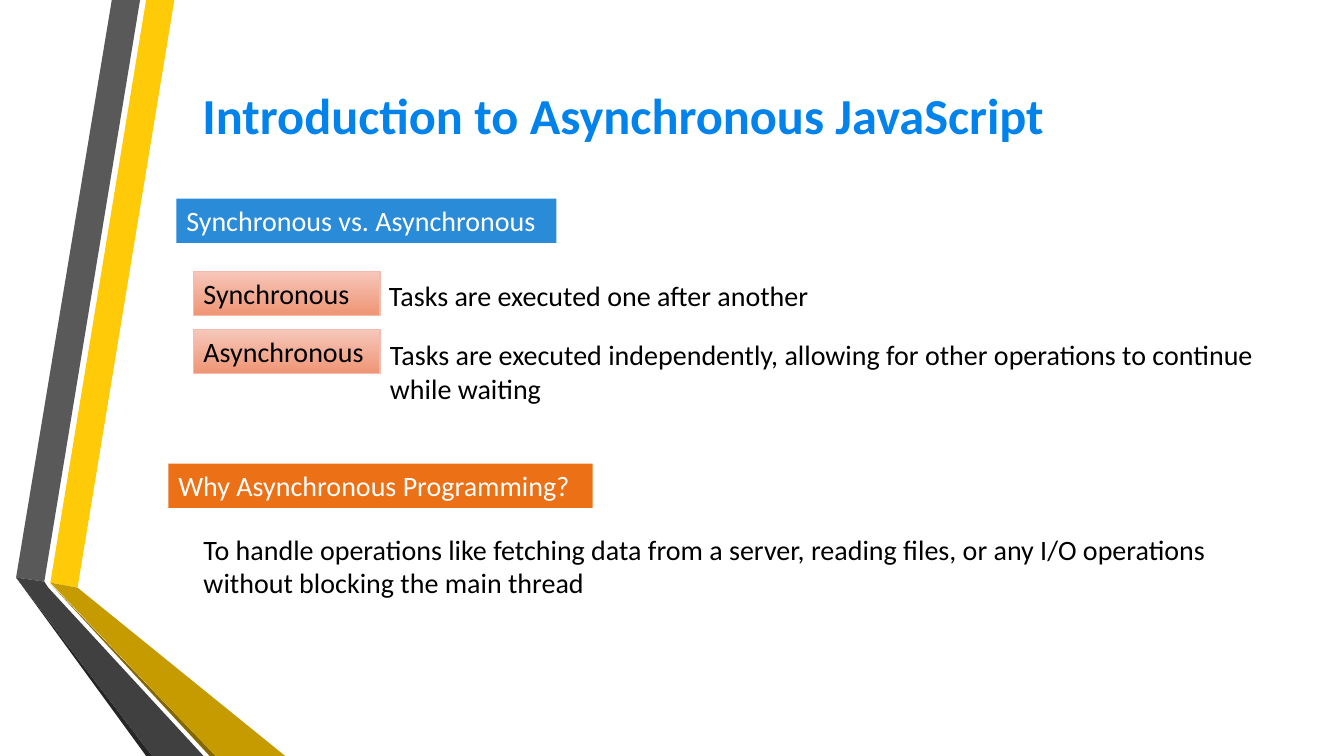
from pptx import Presentation
from pptx import util as u
from pptx.dml.color import RGBColor
from pptx.enum import shapes, text

# Grid of square cells, a tenth of an inch each
CELL = u.Inches(0.1)
COLUMNS, ROWS = 133.33, 75
LABEL_HEIGHT = 4.4
TERM_LEFT, TERM_WIDTH = 19.2, 18.5
TERM_TOP, TERM_STEP = 26.9, 5.8

FONT = "Calibri"
BLACK = RGBColor(0x00, 0x00, 0x00)
WHITE = RGBColor(0xFF, 0xFF, 0xFF)
TITLE_BLUE = RGBColor(0x02, 0x82, 0xEB)
HEADING_BLUE = RGBColor(0x2A, 0x8B, 0xD9)
HEADING_ORANGE = RGBColor(0xEC, 0x70, 0x16)
TERM_LIGHT = RGBColor(0xF6, 0xC7, 0xBA)
TERM_DARK = RGBColor(0xEF, 0x94, 0x74)
TERM_BORDER = RGBColor(0xF4, 0xBB, 0xAC)
YELLOW = RGBColor(0xFF, 0xCA, 0x08)
GOLD = RGBColor(0xC5, 0x9B, 0x00)
DARK_GOLD = RGBColor(0x84, 0x67, 0x00)
GREY = RGBColor(0x59, 0x59, 0x59)
DARK_GREY = RGBColor(0x40, 0x40, 0x40)
CHARCOAL = RGBColor(0x26, 0x26, 0x26)

# Folded ribbons: colour and corner points as (column, row)
RIBBONS = [
    (YELLOW, [(5, 57.8), (7.7, 58.3), (17.3, 0), (14.5, 0)]),
    (GREY, [(13.9, 0), (11.1, 0), (1.6, 57.3), (4.4, 57.7)]),
    (CHARCOAL, [(1.6, 57.3), (14.5, ROWS), (15.1, ROWS)]),
    (DARK_GOLD, [(5, 57.9), (20.8, ROWS), (21.4, ROWS)]),
    (GOLD, [(5, 57.8), (21.4, ROWS), (28.3, ROWS), (7.7, 58.3)]),
    (DARK_GREY, [(20.2, ROWS), (4.8, 58.3), (4.4, 57.7), (1.6, 57.3),
                 (15.1, ROWS)]),
]


def cells(*counts):
    return [round(count * CELL) for count in counts]


def add_ribbon(slide, color, corners):
    start, *others = [cells(*corner) for corner in corners]
    builder = slide.shapes.build_freeform(*start)
    builder.add_line_segments(others, close=True)
    ribbon = builder.convert_to_shape()
    ribbon.shadow.inherit = False
    ribbon.fill.solid()
    ribbon.fill.fore_color.rgb = color
    ribbon.line.fill.background()


def format_font(paragraph, size, color, bold=False):
    for run in paragraph.runs:
        font = run.font
        font.name, font.size, font.bold = FONT, u.Pt(size), bold
        font.color.rgb = color


def write(frame, wording, color, wrap):
    frame.text = wording
    frame.word_wrap = wrap
    frame.auto_size = text.MSO_AUTO_SIZE.SHAPE_TO_FIT_TEXT
    frame.vertical_anchor = text.MSO_ANCHOR.TOP
    for paragraph in frame.paragraphs:
        paragraph.alignment = text.PP_ALIGN.LEFT
        format_font(paragraph, 20, color)


def add_title(slide, wording):
    title = slide.shapes.title
    title.left, title.top, title.width, title.height = cells(
        16.5, 7.4, 90.7, 7.8)
    title.text_frame.text = wording
    title.text_frame.vertical_anchor = text.MSO_ANCHOR.MIDDLE
    paragraph = title.text_frame.paragraphs[0]
    paragraph.alignment = text.PP_ALIGN.CENTER
    format_font(paragraph, 36, TITLE_BLUE, bold=True)


def add_label(slide, wording, left, top, width, color):
    label = slide.shapes.add_shape(
        shapes.MSO_SHAPE.RECTANGLE, *cells(left, top, width, LABEL_HEIGHT))
    label.shadow.inherit = False
    label.line.fill.background()
    write(label.text_frame, wording, color, wrap=False)
    return label


def add_heading(slide, wording, left, top, width, fill_color):
    heading = add_label(slide, wording, left, top, width, WHITE)
    heading.fill.solid()
    heading.fill.fore_color.rgb = fill_color


def add_term(slide, wording, top):
    term = add_label(slide, wording, TERM_LEFT, top, TERM_WIDTH, BLACK)
    term.text_frame.word_wrap = True
    term.fill.gradient()
    term.fill.gradient_angle = 270
    for stop, color in zip(term.fill.gradient_stops, (TERM_LIGHT, TERM_DARK)):
        stop.color.rgb = color
    term.line.color.rgb = TERM_BORDER
    term.line.width = u.Pt(0.75)


def add_statement(slide, wording, left, top, width, height, wrap=False):
    statement = slide.shapes.add_textbox(*cells(left, top, width, height))
    write(statement.text_frame, wording, BLACK, wrap)


def main():
    presentation = Presentation()
    presentation.slide_width, presentation.slide_height = cells(COLUMNS, ROWS)
    slide = presentation.slides.add_slide(presentation.slide_layouts[5])

    # Decoration and title
    for color, corners in RIBBONS:
        add_ribbon(slide, color, corners)
    add_title(slide, "Introduction to Asynchronous JavaScript")

    # Comparison of the two modes
    add_heading(slide, "Synchronous vs. Asynchronous",
                17.5, 19.7, 37.7, HEADING_BLUE)
    for index, term in enumerate(("Synchronous", "Asynchronous")):
        add_term(slide, term, TERM_TOP + index * TERM_STEP)
    add_statement(slide, "Tasks are executed one after another",
                  37.6, 27.1, 44.7, 4.4)
    add_statement(slide, "Tasks are executed independently, allowing for "
                  "other operations to continue\nwhile waiting",
                  37.7, 33, 89.7, 7.7)

    # Motivation
    add_heading(slide, "Why Asynchronous Programming?",
                16.7, 46, 42.1, HEADING_ORANGE)
    add_statement(slide, "To handle operations like fetching data from a "
                  "server, reading files, or any I/O operations without "
                  "blocking the main thread",
                  TERM_LEFT, 52.3, 103.1, 7.7, wrap=True)

    presentation.save("out.pptx")


if __name__ == "__main__":
    main()
